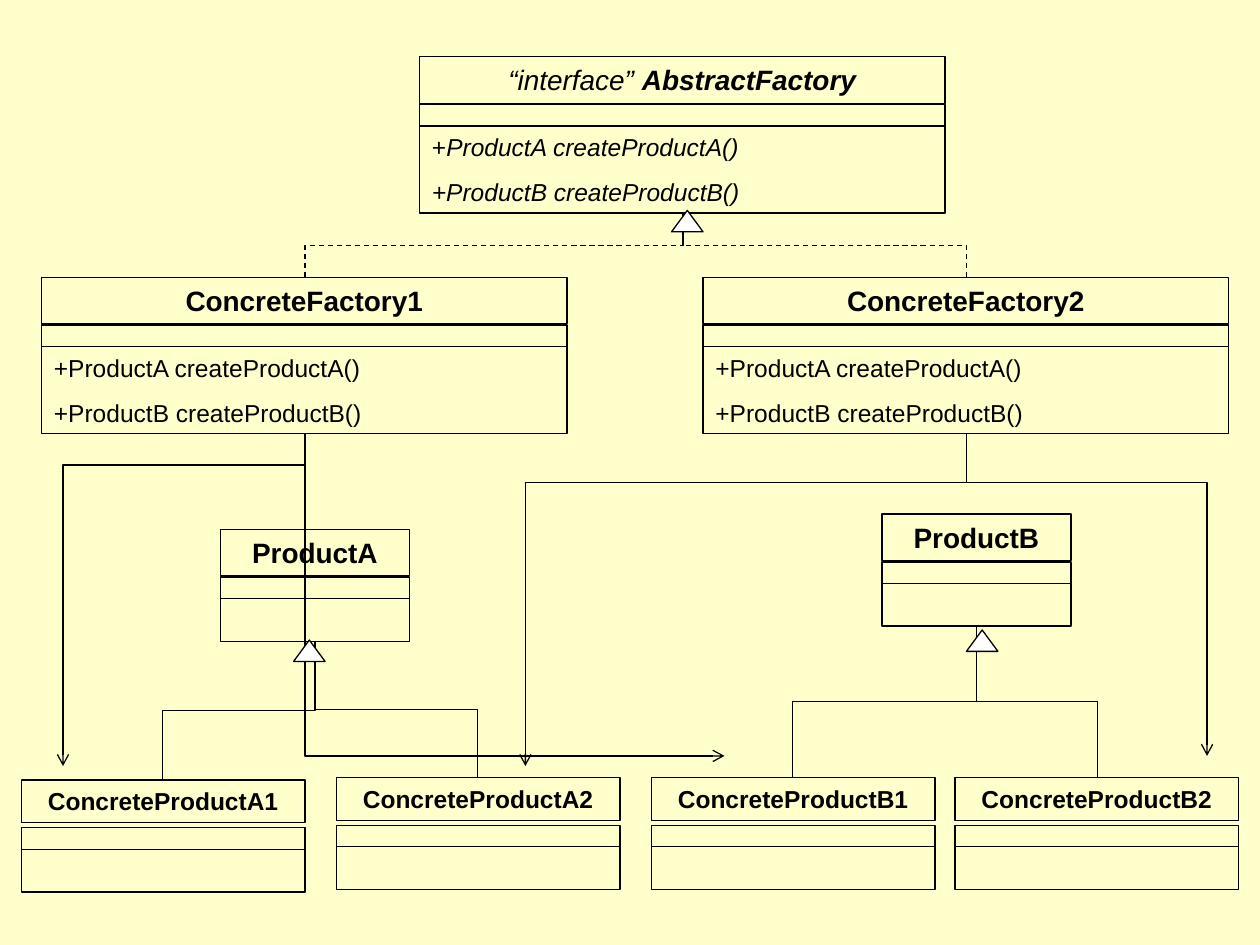
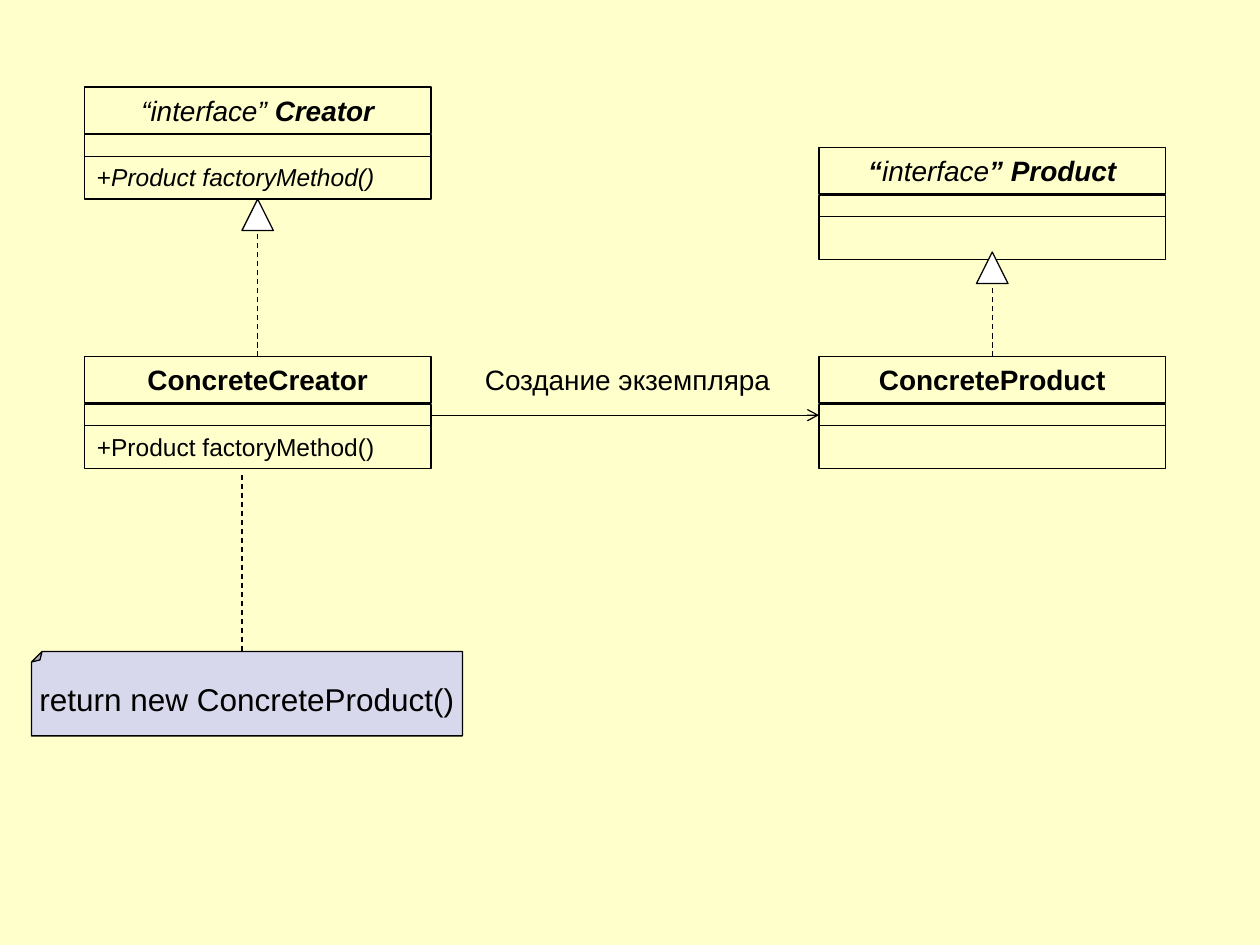
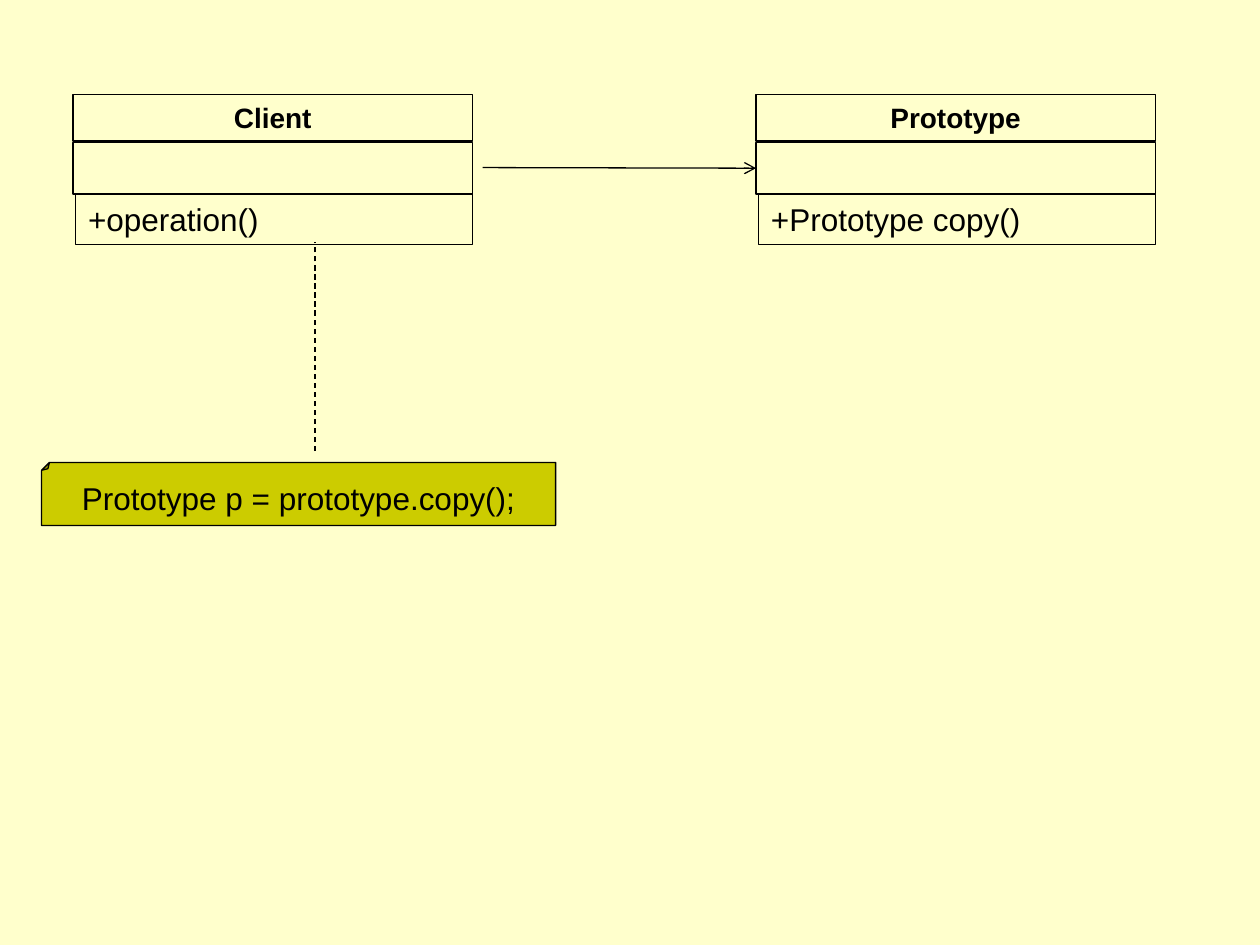
from pptx import Presentation
from pptx import util as u
from pptx.dml.color import RGBColor
from pptx.enum import dml, shapes, text
from pptx.oxml.ns import qn
from lxml import etree

INK, PAPER, WHITE = "000000", "FFFFCC", "FFFFFF"
LILAC, OLIVE = "D8D8EC", "CCCC00"
FONT = "Arial"
KIND = shapes.MSO_SHAPE
color = RGBColor.from_string


def add_box(slide, left, top, width, height, paragraphs=(), size=16,
            centred=False, kind=KIND.RECTANGLE, fill=None, outlined=True):
    """Add a shape; paragraphs are lists of (text, style), style holding b and/or i."""
    box = slide.shapes.add_shape(kind, *map(u.Inches, (left, top, width, height)))
    box.shadow.inherit = False
    if fill:
        box.fill.solid()
        box.fill.fore_color.rgb = color(fill)
    else:
        box.fill.background()
    if outlined:
        box.line.color.rgb = color(INK)
        box.line.width = u.Pt(0.75)
    else:
        box.line.fill.background()
    frame = box.text_frame
    frame.word_wrap = True
    frame.vertical_anchor = text.MSO_ANCHOR.TOP
    for number, runs in enumerate(paragraphs):
        paragraph = frame.add_paragraph() if number else frame.paragraphs[0]
        paragraph.alignment = text.PP_ALIGN.CENTER if centred else text.PP_ALIGN.LEFT
        if number:
            paragraph.space_before = u.Pt(8.8)
        for words, style in runs:
            run = paragraph.add_run()
            run.text = words
            run.font.name, run.font.size = FONT, u.Pt(size)
            run.font.bold, run.font.italic = "b" in style, "i" in style
            run.font.color.rgb = color(INK)
    return box


def add_line(slide, start, end, turn=None, dashed=False, arrow=None):
    """Add a straight line, or one that leaves start upwards and turns at height turn."""
    (x1, y1), (x2, y2) = start, end
    kind = shapes.MSO_CONNECTOR.STRAIGHT
    if turn is not None:
        # A quarter turn to the left makes the elbow run upwards
        kind = shapes.MSO_CONNECTOR.ELBOW
        mid_x, mid_y = (x1 + x2) / 2, (y1 + y2) / 2
        rise, shift = y1 - y2, x2 - x1
        bend = (y1 - turn) / rise
        x1, x2 = mid_x - rise / 2, mid_x + rise / 2
        y1, y2 = mid_y - shift / 2, mid_y + shift / 2
    line = slide.shapes.add_connector(kind, *map(u.Inches, (x1, y1, x2, y2)))
    line.line.color.rgb = color(INK)
    line.line.width = u.Pt(0.75)
    if dashed:
        line.line.dash_style = dml.MSO_LINE.DASH
    properties = line.element.spPr
    if turn is not None:
        line.rotation = 270
        guides = properties.find(qn("a:prstGeom")).find(qn("a:avLst"))
        etree.SubElement(guides, qn("a:gd"), name="adj1", fmla=f"val {round(bend * 100000)}")
    if arrow:
        etree.SubElement(properties.find(qn("a:ln")), qn(f"a:{arrow}End"), type="arrow")
    etree.SubElement(properties, qn("a:effectLst"))
    return line


# Presentation and shared background
prs = Presentation()
prs.slide_width, prs.slide_height = u.Inches(10), u.Inches(7.5)
background = prs.slide_master.background.fill
background.solid()
background.fore_color.rgb = color(PAPER)
factory_slide, method_slide, prototype_slide = [
    prs.slides.add_slide(prs.slide_layouts[6]) for _ in range(3)]

# Class boxes: slide, left, top, width, title runs, operations
create_a, create_b = "ProductA createProductA()", "+ProductB createProductB()"
create_both = [[("+" + create_a, "")], [(create_b, "")]]
factory_method = "Product factoryMethod()"
classes = [
    (factory_slide, 3.33, 0.45, 4.17, [("“interface” ", "i"), ("AbstractFactory", "bi")],
     [[("+", ""), (create_a, "i")], [(create_b, "i")]]),
    (factory_slide, 0.33, 2.2, 4.17, [("ConcreteFactory1", "b")], create_both),
    (factory_slide, 5.58, 2.2, 4.17, [("ConcreteFactory2", "b")], create_both),
    (factory_slide, 1.75, 4.2, 1.5, [("ProductA", "b")], []),
    (factory_slide, 7, 4.08, 1.5, [("ProductB", "b")], []),
    (factory_slide, 0.17, 6.19, 2.25, [("ConcreteProductA1", "b")], []),
    (factory_slide, 2.67, 6.17, 2.25, [("ConcreteProductA2", "b")], []),
    (factory_slide, 5.17, 6.17, 2.25, [("ConcreteProductB1", "b")], []),
    (factory_slide, 7.58, 6.17, 2.25, [("ConcreteProductB2", "b")], []),
    (method_slide, 0.67, 0.69, 2.75, [("“interface” ", "i"), ("Creator", "bi")],
     [[("+", ""), (factory_method, "i")]]),
    (method_slide, 0.67, 2.83, 2.75, [("ConcreteCreator", "b")],
     [[("+" + factory_method, "")]]),
    (method_slide, 6.5, 2.83, 2.75, [("ConcreteProduct", "b")], []),
    (method_slide, 6.5, 1.17, 2.75,
     [("“", "bi"), ("interface", "i"), ("” Product", "bi")], []),
    (prototype_slide, 0.58, 0.75, 3.17, [("Client", "b")], [[("+operation()", "")]]),
    (prototype_slide, 6, 0.75, 3.17, [("Prototype", "b")], [[("+Prototype copy()", "")]]),
]
parts = {}
for slide, left, top, width, title, operations in classes:
    name = title[-1][0]
    small = name.startswith("ConcreteProduct") and slide is factory_slide
    title_size, title_height = (14, 0.34) if small else (16, 0.37)
    if slide is prototype_slide:
        fields_height, operations_height, inset, size = 0.41, 0.4, 0.02, 18
    else:
        fields_height, inset, size = 0.17, 0, 14
        operations_height = 0.69 if len(operations) == 2 else 0.34
    parts[name] = (
        add_box(slide, left, top, width, title_height, [title], title_size, centred=True),
        add_box(slide, left, top + 0.38, width, fields_height),
        add_box(slide, left + inset, top + 0.38 + fields_height, width - inset,
                operations_height, operations, size))

# Abstract factory: inheritance and creation lines
for start, end, turn, dashed, arrow in [
        ((2.42, 2.2), (5.42, 1.69), 1.95, True, None),
        ((7.67, 2.2), (5.42, 1.69), 1.95, True, None),
        ((0.5, 6.08), (2.42, 3.44), 3.69, False, "head"),
        ((5.75, 6), (2.42, 3.44), 6, False, "head"),
        ((4.17, 6.08), (7.67, 3.83), 3.83, False, "head"),
        ((9.58, 6), (7.67, 3.44), 3.83, False, "head"),
        ((1.29, 6.19), (2.5, 5.09), 5.64, False, None),
        ((3.79, 6.17), (2.5, 5.09), 5.63, False, None),
        ((6.29, 6.17), (7.75, 4.97), 5.57, False, None),
        ((8.71, 6.17), (7.75, 4.97), 5.57, False, None)]:
    add_line(factory_slide, start, end, turn, dashed, arrow)

# Factory method: realisation and creation lines
for child, parent in [("ConcreteCreator", "Creator"), ("ConcreteProduct", "” Product")]:
    realisation = add_line(method_slide, (2, 2.83), (2, 1.58), dashed=True)
    realisation.begin_connect(parts[child][0], 0)
    realisation.end_connect(parts[parent][2], 2)
creation = add_line(method_slide, (3.42, 3.3), (6.5, 3.3), arrow="tail")
creation.begin_connect(parts["ConcreteCreator"][1], 3)
creation.end_connect(parts["ConcreteProduct"][1], 1)
add_box(method_slide, 3.75, 2.83, 2.58, 0.37, [[("Создание экземпляра", "")]], outlined=False)

# Prototype: use of the prototype by the client
usage = add_line(prototype_slide, (3.83, 1.33), (6, 1.33), arrow="tail")
usage.end_connect(parts["Prototype"][1], 1)

# Inheritance triangles
for slide, left, top, height, kind in [
        (factory_slide, 5.33, 1.67, 0.17, KIND.ISOSCELES_TRIANGLE),
        (factory_slide, 2.33, 5.08, 0.17, KIND.ISOSCELES_TRIANGLE),
        (factory_slide, 7.67, 5, 0.17, KIND.ISOSCELES_TRIANGLE),
        (method_slide, 1.92, 1.58, 0.25, KIND.FLOWCHART_EXTRACT),
        (method_slide, 7.75, 2, 0.25, KIND.FLOWCHART_EXTRACT)]:
    add_box(slide, left, top, 0.25, height, kind=kind, fill=WHITE)

# Code notes, turned upside down with upright text, and their dashed lines
for slide, left, top, width, height, code, fill, start, end in [
        (method_slide, 0.25, 5.17, 3.42, 0.67, "return new ConcreteProduct()", LILAC,
         (1.92, 5.17), (1.92, 3.75)),
        (prototype_slide, 0.33, 3.67, 4.08, 0.5, "Prototype p = prototype.copy();", OLIVE,
         (2.5, 3.58), (2.5, 1.92))]:
    note = add_box(slide, left, top, width, height, [[(code, "")]], 18, True,
                   KIND.FOLDED_CORNER, fill)
    fold = note.element.spPr.find(qn("a:prstGeom")).find(qn("a:avLst"))
    etree.SubElement(fold, qn("a:gd"), name="adj", fmla="val 12500")
    note.rotation = 180
    note.text_frame.word_wrap = False
    note.text_frame.vertical_anchor = text.MSO_ANCHOR.MIDDLE
    note.element.txBody.find(qn("a:bodyPr")).set("rot", "10800000")
    add_line(slide, start, end, dashed=True)

prs.save("out.pptx")
